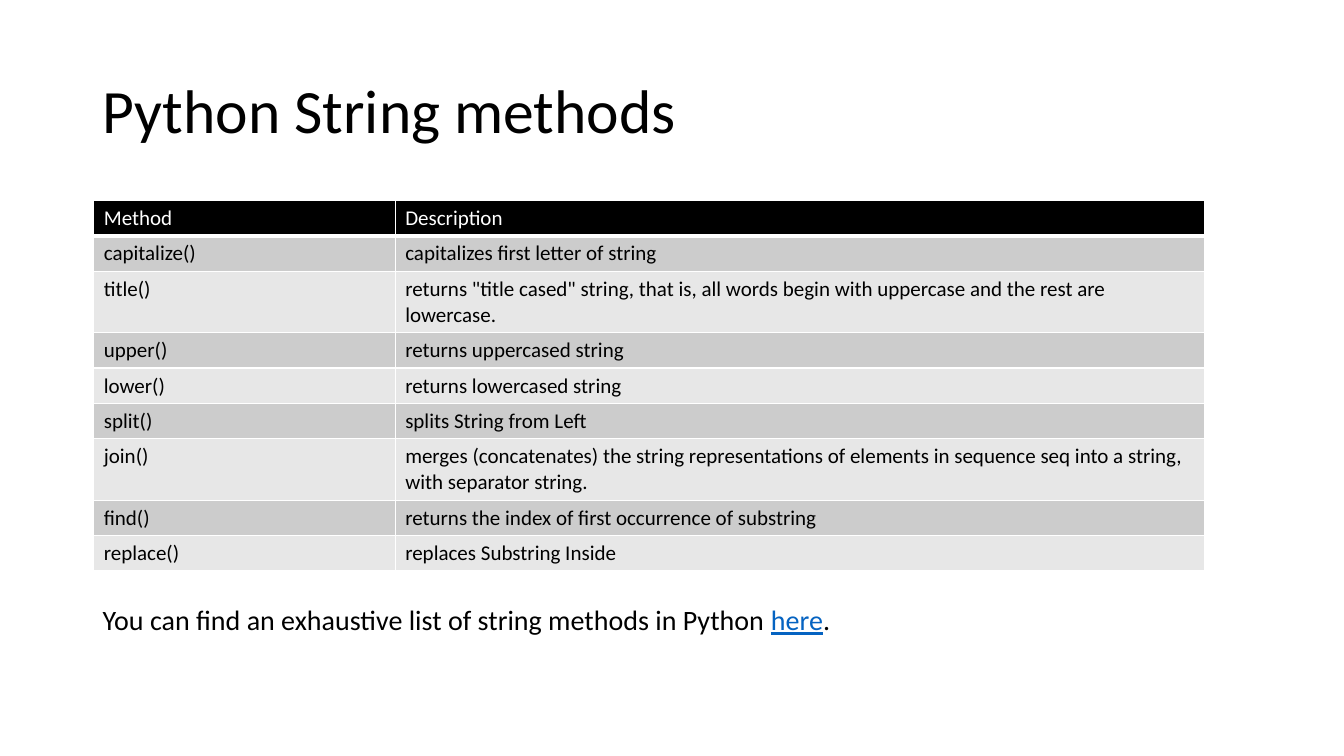
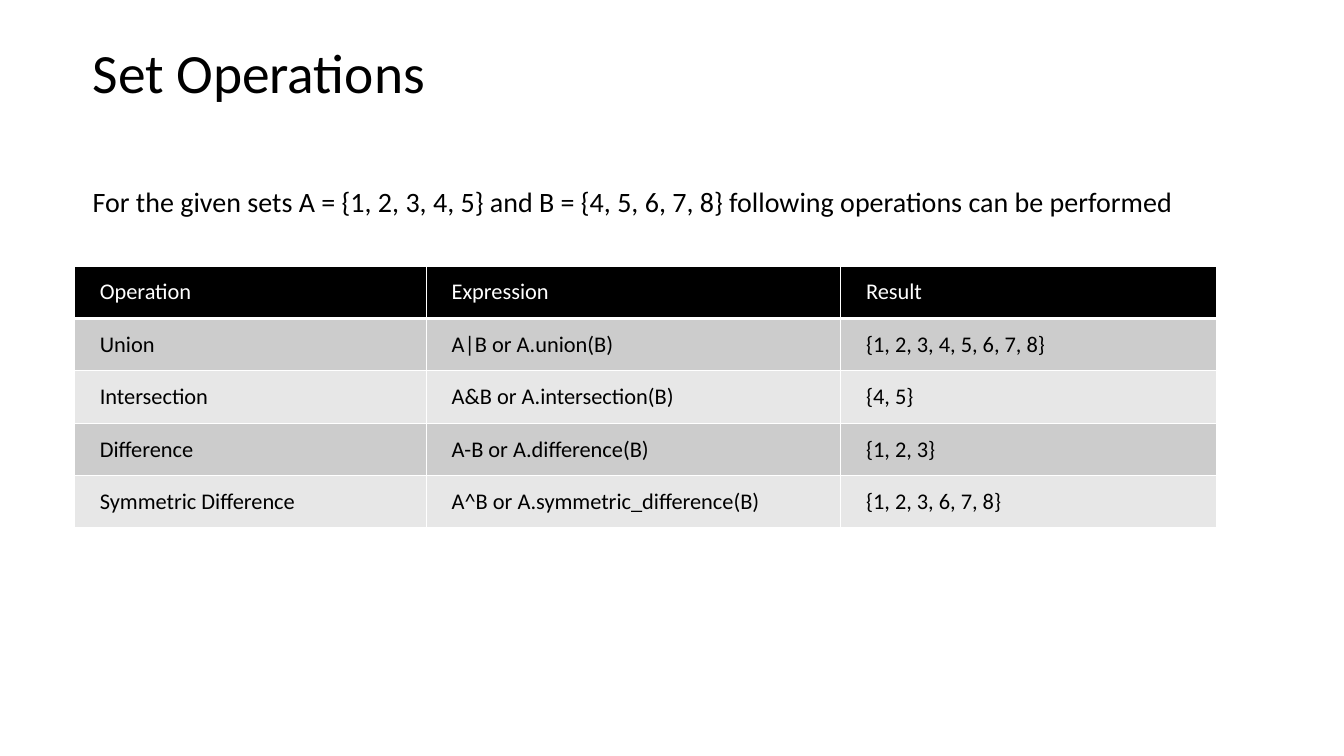
from lxml.etree import SubElement
from pptx import Presentation
from pptx.dml.color import RGBColor
from pptx.enum.text import MSO_ANCHOR
from pptx.oxml.ns import qn
from pptx.util import Inches, Pt

FONT = "Calibri"
BLACK = "000000"
WHITE = "FFFFFF"
LINK_BLUE = "0563C1"
BANDS = ["CCCCCC", "E7E7E7"]
NOTE_SIZE = 20

STRING_METHODS = [
    ["Method", "Description"],
    ["capitalize()", "capitalizes first letter of string"],
    ["title()", 'returns "title cased" string, that is, all words begin with uppercase and the rest are lowercase.'],
    ["upper()", "returns uppercased string"],
    ["lower()", "returns lowercased string"],
    ["split()", "splits String from Left"],
    ["join()", "merges (concatenates) the string representations of elements in sequence seq into a string, with separator string."],
    ["find()", "returns the index of first occurrence of substring"],
    ["replace()", "replaces Substring Inside"],
]
SET_OPERATIONS = [
    ["Operation", "Expression", "Result"],
    ["Union", "A|B or A.union(B)", "{1, 2, 3, 4, 5, 6, 7, 8}"],
    ["Intersection", "A&B or A.intersection(B)", "{4, 5}"],
    ["Difference", "A-B or A.difference(B)", "{1, 2, 3}"],
    ["Symmetric Difference", "A^B or A.symmetric_difference(B)", "{1, 2, 3, 6, 7, 8}"],
]


def rgb(value):
    return RGBColor.from_string(value)


def style_font(font, size, color):
    font.name = FONT
    font.size = Pt(size)
    font.bold = False
    font.color.rgb = rgb(color)


def add_text(page, box, pieces, size, anchor=MSO_ANCHOR.TOP):
    frame = page.shapes.add_textbox(*map(Inches, box)).text_frame
    frame.word_wrap = True
    frame.vertical_anchor = anchor
    para = frame.paragraphs[0]
    para.line_spacing = 0.9
    for text, color in pieces:
        span = para.add_run()
        span.text = text
        style_font(span.font, size, color)
        if color == LINK_BLUE:
            span.font.underline = True


def add_title(page, box, text, size):
    add_text(page, box, [(text, BLACK)], size, MSO_ANCHOR.MIDDLE)


def add_border(cell, side, width):
    line = SubElement(cell._tc.get_or_add_tcPr(), qn(f"a:ln{side}"), w=str(Pt(width)))
    fill = SubElement(line, qn("a:solidFill"))
    SubElement(fill, qn("a:srgbClr"), val=WHITE)


def style_cell(cell, text, row, size, insets):
    is_header = row == 0
    for side in "LRTB":
        if side != "T" or is_header:
            add_border(cell, side, 3 if side == "B" and is_header else 1)
    cell.fill.solid()
    cell.fill.fore_color.rgb = rgb(BLACK if is_header else BANDS[(row - 1) % 2])
    across, down = map(Inches, insets)
    cell.margin_left = cell.margin_right = across
    cell.margin_top = cell.margin_bottom = down
    cell.text_frame.text = text
    style_font(cell.text_frame.paragraphs[0].runs[0].font, size, WHITE if is_header else BLACK)


def add_grid(page, left, top, widths, heights, rows, size, insets, anchor):
    box = map(Inches, (left, top, sum(widths), sum(heights)))
    table = page.shapes.add_table(len(rows), len(widths), *box).table
    table.horz_banding = False
    for column, width in zip(table.columns, widths):
        column.width = Inches(width)
    for row, (texts, height) in enumerate(zip(rows, heights)):
        table.rows[row].height = Inches(height)
        for column, text in enumerate(texts):
            cell = table.cell(row, column)
            style_cell(cell, text, row, size, insets)
            cell.vertical_anchor = anchor


def string_methods_slide(page):
    add_title(page, (0.92, 0.4, 11.5, 1.45), "Python String methods", 44)
    heights = [0.61 if len(texts[1]) > 80 else 0.35 for texts in STRING_METHODS]
    add_grid(page, 0.93, 1.99, [2.99, 8.03], heights, STRING_METHODS, 15, (0.1, 0.05), MSO_ANCHOR.TOP)
    pieces = [
        ("You can find an exhaustive list of string methods in Python ", BLACK),
        ("here", LINK_BLUE),
        (".", BLACK),
    ]
    add_text(page, (0.92, 5.97, 11.5, 0.45), pieces, NOTE_SIZE)


def set_operations_slide(page):
    add_title(page, (0.82, 0.41, 11.5, 0.68), "Set Operations", 39.6)
    note = "For the given sets A = {1, 2, 3, 4, 5} and B = {4, 5, 6, 7, 8} following operations can be performed"
    add_text(page, (0.82, 1.82, 11.5, 0.45), [(note, BLACK)], NOTE_SIZE)
    heights = [0.52] * len(SET_OPERATIONS)
    add_grid(page, 0.74, 2.64, [3.49, 4.11, 3.73], heights, SET_OPERATIONS, 16, (0.25, 0.12), MSO_ANCHOR.MIDDLE)


def main():
    deck = Presentation()
    deck.slide_width = Inches(13.33)
    deck.slide_height = Inches(7.5)
    for build in (string_methods_slide, set_operations_slide):
        build(deck.slides.add_slide(deck.slide_layouts[6]))
    deck.save("out.pptx")


if __name__ == "__main__":
    main()
